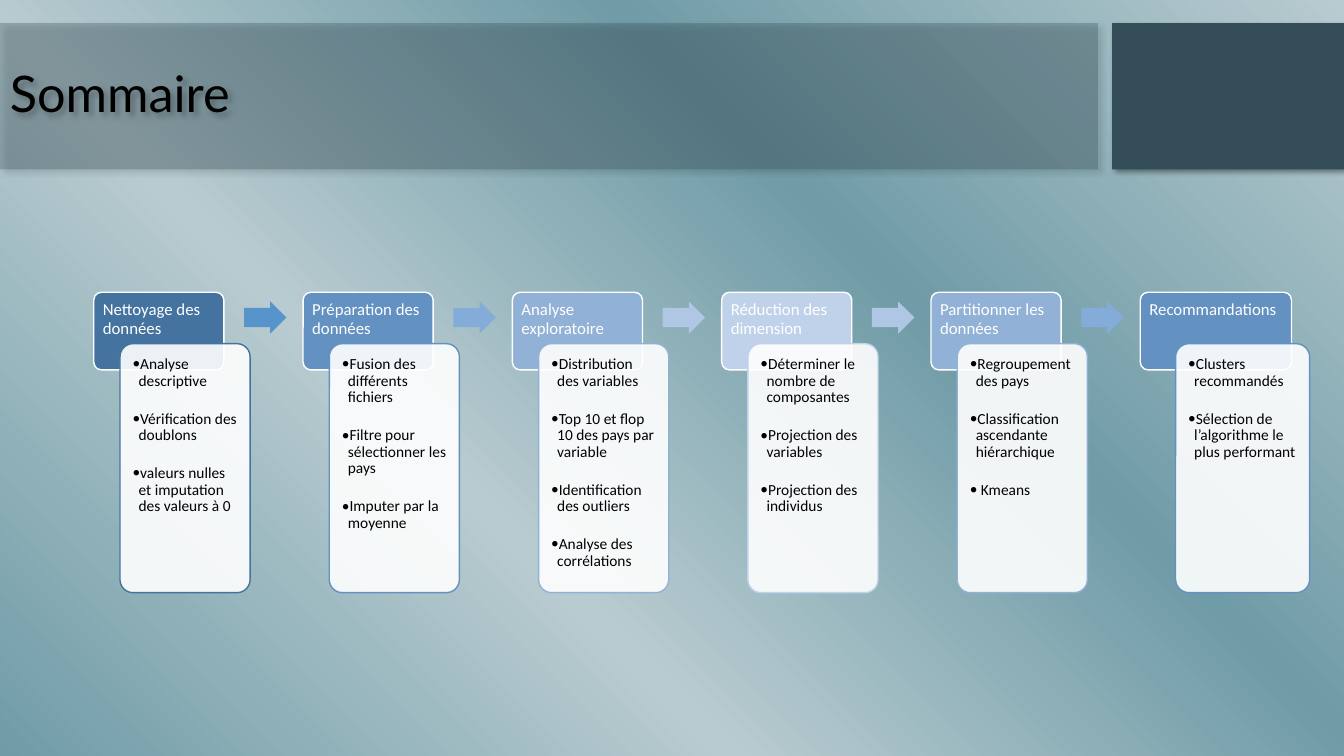
from copy import deepcopy
from dataclasses import dataclass

from pptx import Presentation
from pptx.dml.color import RGBColor
from pptx.enum.shapes import MSO_SHAPE
from pptx.enum.text import MSO_ANCHOR, PP_ALIGN
from pptx.oxml import parse_xml
from pptx.oxml.ns import nsdecls, qn
from pptx.util import Inches, Pt


@dataclass(frozen=True)
class Theme:
    title_font: str = "Lato"
    body_font: str = "Calibri"
    title_size: float = 36
    heading_size: float = 12
    item_size: float = 11
    item_gap: float = 15.1
    slate: str = "344D59"
    mist: str = "B8CBD0"
    teal: str = "709CA7"
    white: str = "FFFFFF"
    black: str = "000000"


THEME = Theme()


@dataclass(frozen=True)
class Stage:
    heading: str
    items: tuple
    color: str
    arrow: str = ""
    width: float = 1.29
    card_offset: float = 0.26
    card_width: float = 1.29


STAGES = (
    Stage("Nettoyage des données",
          ("Analyse descriptive", "Vérification des doublons",
           "valeurs nulles et imputation des valeurs à 0"), "43739E", "5794CB"),
    Stage("Préparation des données",
          ("Fusion des différents fichiers", "Filtre pour sélectionner les pays",
           "Imputer par la moyenne"), "6391C1", "83ACD8"),
    Stage("Analyse exploratoire",
          ("Distribution des variables", "Top 10 et flop 10 des pays par variable",
           "Identification des outliers", "Analyse des corrélations"), "91B1D6", "AFC7E5"),
    Stage("Réduction des dimension",
          ("Déterminer le nombre de composantes", "Projection des variables",
           "Projection des individus"), "C0D2EA", "AFC7E5"),
    Stage("Partitionner les données",
          ("Regroupement des pays", "Classification ascendante hiérarchique",
           " Kmeans"), "91B1D6", "83ACD8"),
    Stage("Recommandations",
          ("Clusters recommandés", "Sélection de l’algorithme le plus performant"),
          "6391C1", width=1.5, card_offset=0.35, card_width=1.33),
)


def add_block(shapes, kind, box, fill, line=None, opacity=100):
    """Add a filled shape, outlined only if a line colour is given."""
    shape = shapes.add_shape(kind, *map(Inches, box))
    shape.shadow.inherit = False
    shape.fill.solid()
    shape.fill.fore_color.rgb = RGBColor.from_string(fill)
    if opacity < 100:
        color = shape.element.spPr.find(qn("a:solidFill"))[0]
        color.append(parse_xml(f'<a:alpha {nsdecls("a")} val="{opacity * 1000}"/>'))
    if line:
        shape.line.color.rgb = RGBColor.from_string(line)
        shape.line.width = Pt(1)
    else:
        shape.line.fill.background()
    if kind == MSO_SHAPE.ROUNDED_RECTANGLE:
        shape.adjustments[0] = 0.1
    return shape


def add_shadow(shape):
    effects = shape.element.spPr.find(qn("a:effectLst"))
    effects.append(parse_xml(
        f'<a:outerShdw {nsdecls("a")} blurRad="{Pt(4)}" dist="{Pt(3)}" dir="2700000">'
        f'<a:srgbClr val="{THEME.black}"><a:alpha val="40000"/></a:srgbClr></a:outerShdw>'))


def write(paragraph, text, font, size, color):
    paragraph.alignment = PP_ALIGN.LEFT
    paragraph.line_spacing = 0.9
    run = paragraph.add_run()
    run.text = text
    run.font.name = font
    run.font.size = Pt(size)
    run.font.color.rgb = RGBColor.from_string(color)


def add_text_frame(shapes, box, margin, bottom_margin):
    frame = shapes.add_textbox(*map(Inches, box)).text_frame
    frame.word_wrap = True
    frame.margin_left = frame.margin_top = frame.margin_right = margin
    frame.margin_bottom = bottom_margin
    return frame


def add_bullet(paragraph):
    properties = paragraph._p.get_or_add_pPr()
    properties.set("marL", str(Inches(0.06)))
    properties.set("indent", str(-Inches(0.06)))
    properties.append(parse_xml(
        f'<a:buFont {nsdecls("a")} typeface="{THEME.body_font}"/>'))
    properties.append(parse_xml(f'<a:buChar {nsdecls("a")} char="•"/>'))
    # The bullet takes its size from the paragraph end
    paragraph._p.append(parse_xml(
        f'<a:endParaRPr {nsdecls("a")} sz="{THEME.item_size * 100}"/>'))


def set_background(slide):
    fill = slide.background.fill
    fill.gradient()
    fill.gradient_angle = 225  # counter-clockwise: runs from top right to bottom left
    stops = slide.element.find(".//" + qn("a:gsLst"))
    for _ in range(2):
        stops.append(deepcopy(stops[0]))
    colors = (THEME.mist, THEME.teal) * 2
    for stop, position, color in zip(fill.gradient_stops, (0, 0.35, 0.65, 1), colors):
        stop.position = position
        stop.color.rgb = RGBColor.from_string(color)


def add_title_band(slide, box, title):
    left, top, width, height = box
    title_width, gap = 10.89, 0.14
    accent_left = left + title_width + gap
    accent_box = (accent_left, top, left + width - accent_left, height)
    accent = add_block(slide.shapes, MSO_SHAPE.RECTANGLE, accent_box, THEME.slate)
    band = add_block(slide.shapes, MSO_SHAPE.RECTANGLE,
                     (left, top, title_width, height), THEME.slate, opacity=30)
    for shape in (accent, band):
        add_shadow(shape)
    frame = band.text_frame
    frame.vertical_anchor = MSO_ANCHOR.MIDDLE
    write(frame.paragraphs[0], title, THEME.title_font, THEME.title_size, THEME.black)


def add_stage(shapes, left, top, height, stage):
    # Coloured heading
    add_block(shapes, MSO_SHAPE.ROUNDED_RECTANGLE, (left, top, stage.width, 0.77),
              stage.color, THEME.white)
    heading = add_text_frame(shapes, (left, top, stage.width, 0.51),
                             Inches(0.09), Inches(0.05))
    write(heading.paragraphs[0], stage.heading, THEME.body_font,
          THEME.heading_size, THEME.white)

    # Card with the list, overlapping the heading
    card_left, card_top = left + stage.card_offset, top + 0.51
    card_height = height - 0.51
    add_block(shapes, MSO_SHAPE.ROUNDED_RECTANGLE,
              (card_left, card_top, stage.card_width, card_height),
              THEME.white, stage.color, opacity=90)
    inset, margin = 0.04, Pt(6.1)
    items = add_text_frame(shapes, (card_left + inset, card_top + inset,
                                    stage.card_width - 2 * inset,
                                    card_height - 2 * inset), margin, margin)
    for index, item in enumerate(stage.items):
        paragraph = items.add_paragraph() if index else items.paragraphs[0]
        paragraph.level = 1
        write(paragraph, item, THEME.body_font, THEME.item_size, THEME.black)
        paragraph.space_after = Pt(THEME.item_gap)
        add_bullet(paragraph)

    # Arrow to the next stage
    if stage.arrow:
        arrow = add_block(shapes, MSO_SHAPE.RIGHT_ARROW,
                          (left + 1.49, top + 0.09, 0.42, 0.32), stage.arrow)
        arrow.adjustments[0] = 0.6


def add_process(slide, box, stages):
    left, top, width, height = box
    last = stages[-1]
    pitch = (width - last.card_offset - last.card_width) / (len(stages) - 1)
    group = slide.shapes.add_group_shape()
    for index, stage in enumerate(stages):
        add_stage(group.shapes, left + index * pitch, top, height, stage)


def main():
    presentation = Presentation()
    presentation.slide_width = Inches(13.33)
    presentation.slide_height = Inches(7.5)
    slide = presentation.slides.add_slide(presentation.slide_layouts[6])
    set_background(slide)
    add_title_band(slide, (0, 0.23, 13.33, 1.45), "Sommaire")
    add_process(slide, (0.93, 2.9, 12.06, 2.98), STAGES)
    presentation.save("out.pptx")


if __name__ == "__main__":
    main()
